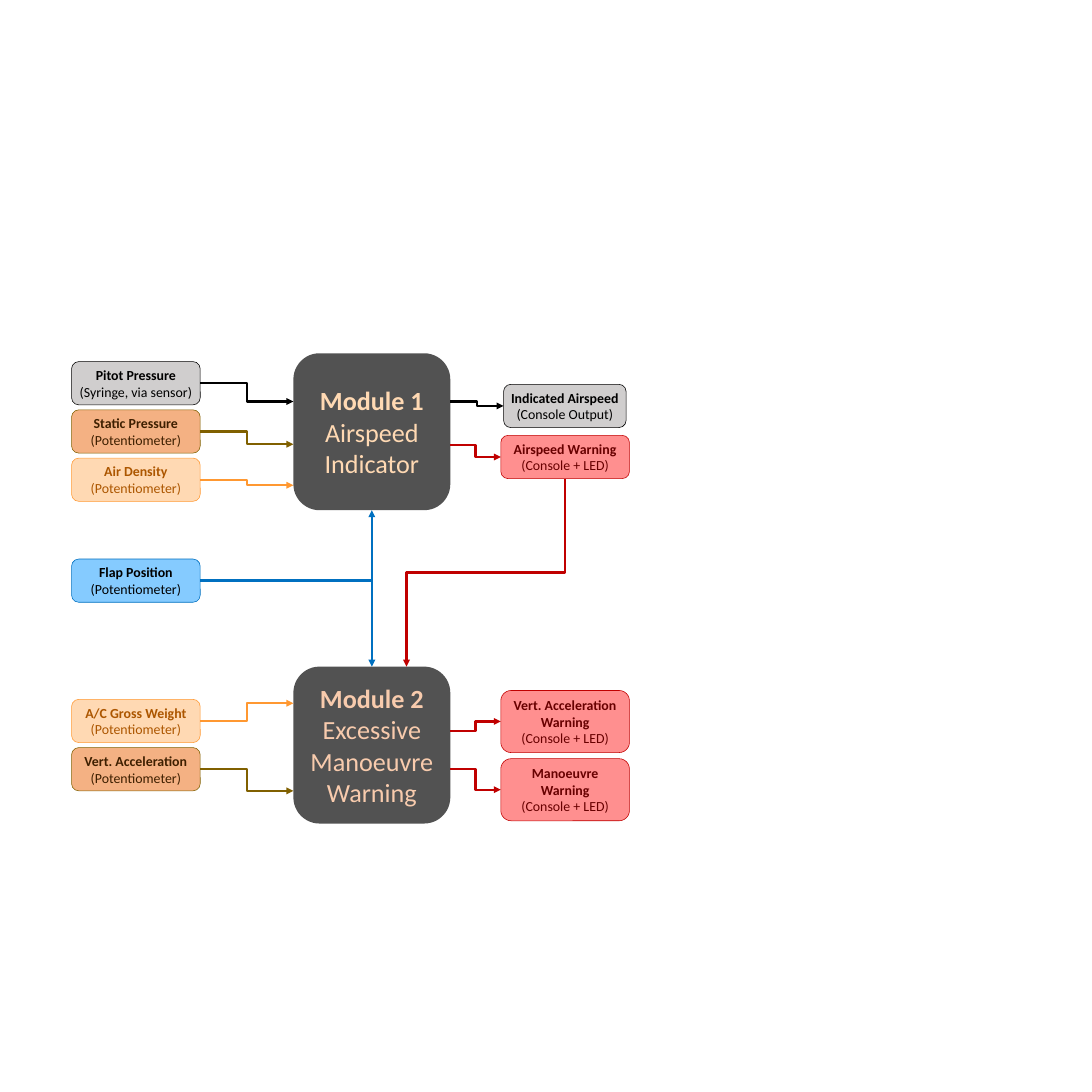
import dataclasses
import typing

import pptx
import pptx.dml.color
import pptx.enum.shapes
import pptx.enum.text
import pptx.oxml
import pptx.oxml.ns
import pptx.util

Pt = pptx.util.Pt
SLIDE_SIDE = 1417.68
FONT = "Calibri"

COLOURS = {
    "module": "525252", "module 1 text": "FFD9B3", "module 2 text": "F8CBAD",
    "grey": "D0CECE", "black": "000000",
    "copper": "F4B183", "olive": "806000", "brown": "3E1F00",
    "peach": "FFD9B3", "orange": "FF9831", "rust": "AC5600",
    "sky": "85CBFF", "blue": "0070C0",
    "rose": "FF8F8F", "red": "C00000", "maroon": "680000",
}


@dataclasses.dataclass(frozen=True)
class Style:
    fill: str
    line: str
    text: str


@dataclasses.dataclass(frozen=True)
class Box:
    heading: str
    detail: str
    style: Style
    left: float
    top: float
    width: float = 167.04
    height: float = 56.16
    port: typing.Optional[float] = None  # height at which its arrow meets a module
    wrap: bool = True

    @property
    def right(self) -> float:
        return self.left + self.width

    @property
    def bottom(self) -> float:
        return self.top + self.height

    @property
    def centre(self) -> float:
        return self.left + self.width / 2

    @property
    def middle(self) -> float:
        return self.top + self.height / 2


NEUTRAL = Style("grey", "black", "black")
SENSOR = Style("copper", "olive", "brown")
SETTING = Style("peach", "orange", "rust")
FLAP = Style("sky", "blue", "black")
WARNING = Style("rose", "red", "maroon")

MODULE_LEFT, MODULE_SIDE = 380.88, 203.76
INPUT_LEFT, INPUT_PITCH = 92.88, 62.64
AIR_TOP, LOAD_TOP = 469.44, 907.92
OUTPUT_LEFT, TALL = 650.16, 80.64
SIDE_MARGIN, TIGHT_MARGIN = 7.2, 3.6

MODULES = [
    Box("Module 1", "Airspeed Indicator", Style("module", "", "module 1 text"),
        MODULE_LEFT, 458.64, MODULE_SIDE, MODULE_SIDE),
    Box("Module 2", "Excessive Manoeuvre\nWarning", Style("module", "", "module 2 text"),
        MODULE_LEFT, 865.44, MODULE_SIDE, MODULE_SIDE),
]
INPUTS = [
    Box("Pitot Pressure", "(Syringe, via sensor)", NEUTRAL, INPUT_LEFT, AIR_TOP,
        port=521.28, wrap=False),
    Box("Static Pressure", "(Potentiometer)", SENSOR, INPUT_LEFT, AIR_TOP + INPUT_PITCH,
        port=576.72),
    Box("Air Density", "(Potentiometer)", SETTING, INPUT_LEFT, AIR_TOP + 2 * INPUT_PITCH,
        port=630),
    Box("A/C Gross Weight", "(Potentiometer)", SETTING, INPUT_LEFT, LOAD_TOP, port=912.96),
    Box("Vert. Acceleration", "(Potentiometer)", SENSOR, INPUT_LEFT, LOAD_TOP + INPUT_PITCH,
        port=1026.72),
]
FLAP_POSITION = Box("Flap Position", "(Potentiometer)", FLAP, INPUT_LEFT, 725.76)
AIRSPEED_WARNING = Box("Airspeed Warning", "(Console + LED)", WARNING, OUTPUT_LEFT, 565.2,
                       port=577.44)
OUTPUTS = [
    Box("Indicated Airspeed", "(Console Output)", NEUTRAL, 653.76, 498.96, 159.12,
        port=521.28, wrap=False),
    AIRSPEED_WARNING,
    Box("Vert. Acceleration Warning", "(Console + LED)", WARNING, OUTPUT_LEFT, 896.4,
        height=TALL, port=948.96),
    Box("Manoeuvre Warning", "(Console + LED)", WARNING, OUTPUT_LEFT, 984.96,
        height=TALL, port=998.64),
]


def colour(name: str) -> pptx.dml.color.RGBColor:
    return pptx.dml.color.RGBColor.from_string(COLOURS[name])


def set_all(target: typing.Any, values: dict) -> None:
    for name, value in values.items():
        setattr(target, name, value)


def draw_box(page: typing.Any, box: Box, size: float, auto_size: typing.Any) -> None:
    shape = page.shapes.add_shape(
        pptx.enum.shapes.MSO_SHAPE.ROUNDED_RECTANGLE,
        Pt(box.left), Pt(box.top), Pt(box.width), Pt(box.height))
    shape.shadow.inherit = False
    shape.fill.solid()
    shape.fill.fore_color.rgb = colour(box.style.fill)
    if box.style.line:
        shape.line.color.rgb = colour(box.style.line)
        shape.line.width = Pt(0.75)
    else:
        shape.line.fill.background()
    margin = Pt(SIDE_MARGIN if box.wrap else TIGHT_MARGIN)
    set_all(shape.text_frame, {
        "word_wrap": box.wrap, "auto_size": auto_size,
        "margin_left": margin, "margin_right": margin,
        "vertical_anchor": pptx.enum.text.MSO_ANCHOR.MIDDLE})
    para = shape.text_frame.paragraphs[0]
    para.alignment = pptx.enum.text.PP_ALIGN.CENTER
    set_all(para.font, {"name": FONT, "size": Pt(size)})
    for index, line in enumerate([box.heading, *box.detail.split("\n")]):
        if index:
            para.add_line_break()
        span = para.add_run()
        span.text = line
        set_all(span.font, {"name": FONT, "size": Pt(size), "bold": index == 0})
        span.font.color.rgb = colour(box.style.text)


def draw_arrow(page: typing.Any, start: tuple[float, float], end: tuple[float, float],
               line: str, preset: str = "bentConnector3") -> typing.Any:
    arrow = page.shapes.add_connector(
        pptx.enum.shapes.MSO_CONNECTOR.ELBOW, *(Pt(value) for value in (*start, *end)))
    arrow.line.color.rgb = colour(line)
    arrow.line.width = Pt(3)
    properties = arrow._element.spPr
    properties.find(pptx.oxml.ns.qn("a:prstGeom")).set("prst", preset)
    namespace = pptx.oxml.ns.nsdecls("a")
    properties.find(pptx.oxml.ns.qn("a:ln")).append(
        pptx.oxml.parse_xml(f'<a:tailEnd {namespace} type="triangle"/>'))
    properties.append(pptx.oxml.parse_xml(f"<a:effectLst {namespace}/>"))
    return arrow


def draw_descending_arrow(page: typing.Any, start: tuple[float, float],
                          end: tuple[float, float], line: str) -> None:
    """Leave downwards, step left, arrive downwards: an elbow turned by 90 degrees."""
    across, down = start[0] - end[0], end[1] - start[1]
    left = (start[0] + end[0] - down) / 2
    top = (start[1] + end[1] - across) / 2
    arrow = draw_arrow(page, (left, top), (left + down, top + across), line)
    arrow._element.spPr.find(pptx.oxml.ns.qn("a:xfrm")).set("rot", "5400000")


def main() -> None:
    deck = pptx.Presentation()
    set_all(deck, {"slide_width": Pt(SLIDE_SIDE), "slide_height": Pt(SLIDE_SIDE)})
    page = deck.slides.add_slide(deck.slide_layouts.get_by_name("Blank"))

    fit = pptx.enum.text.MSO_AUTO_SIZE
    for module in MODULES:
        draw_box(page, module, 34, fit.NONE)
    for box in [*INPUTS, FLAP_POSITION, *OUTPUTS]:
        draw_box(page, box, 18, fit.SHAPE_TO_FIT_TEXT)

    indicator, manoeuvre = MODULES
    for box in INPUTS:
        draw_arrow(page, (box.right, box.middle), (indicator.left, box.port), box.style.line)
    for box in OUTPUTS:
        draw_arrow(page, (indicator.right, box.port), (box.left, box.middle), box.style.line)
    for edge in (indicator.bottom, manoeuvre.top):
        draw_arrow(page, (FLAP_POSITION.right, FLAP_POSITION.middle),
                   (indicator.centre, edge), FLAP.line, "bentConnector2")
    draw_descending_arrow(page, (AIRSPEED_WARNING.centre, AIRSPEED_WARNING.bottom),
                          (527.76, manoeuvre.top), WARNING.line)
    deck.save("out.pptx")


if __name__ == "__main__":
    main()
